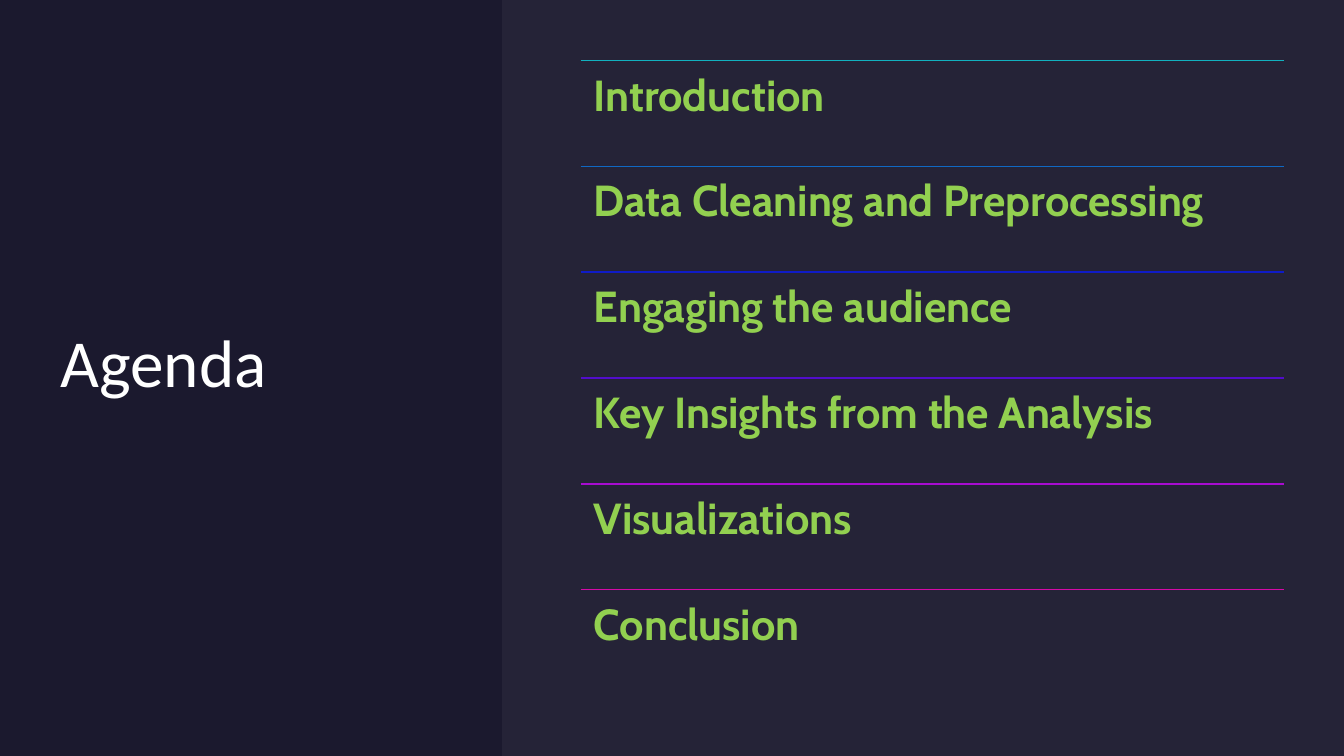
"""Builds the agenda slide with a tinted panel and ruled topics."""
from dataclasses import dataclass

from lxml import etree
from pptx import Presentation
from pptx.dml.color import RGBColor
from pptx.enum.shapes import MSO_CONNECTOR, MSO_SHAPE
from pptx.enum.text import MSO_ANCHOR, MSO_AUTO_SIZE, PP_ALIGN
from pptx.oxml.ns import qn
from pptx.slide import Slide
from pptx.text.text import TextFrame
from pptx.util import Inches, Pt

NAVY = RGBColor(0x1B, 0x19, 0x2E)
LAVENDER = RGBColor(0xE4, 0xE3, 0xF0)
WHITE = RGBColor(0xFF, 0xFF, 0xFF)
GREEN = RGBColor(0x92, 0xD0, 0x50)
TEAL = RGBColor(0x12, 0xB1, 0xBF)
AZURE = RGBColor(0x10, 0x68, 0xC3)
BLUE = RGBColor(0x0F, 0x1B, 0xC7)
INDIGO = RGBColor(0x52, 0x0D, 0xCB)
PURPLE = RGBColor(0xA7, 0x0C, 0xD0)
MAGENTA = RGBColor(0xD4, 0x0A, 0xA8)

LIST_LEFT = 5.76
LIST_TOP = 0.6
LIST_WIDTH = 6.97
ROW_HEIGHT = 1.05


@dataclass(frozen=True)
class Topic:
    text: str
    rule_color: RGBColor


TOPICS = [
    Topic("Introduction", TEAL),
    Topic("Data Cleaning and Preprocessing", AZURE),
    Topic("Engaging the audience", BLUE),
    Topic("Key Insights from the Analysis", INDIGO),
    Topic("Visualizations", PURPLE),
    Topic("Conclusion", MAGENTA),
]


def write_text(frame: TextFrame, text: str, font: str, size: float, color: RGBColor,
               bold: bool, inset: float, anchor: MSO_ANCHOR) -> None:
    frame.word_wrap = True
    frame.auto_size = MSO_AUTO_SIZE.NONE
    frame.vertical_anchor = anchor
    frame.margin_left = frame.margin_right = Inches(inset)
    frame.margin_top = frame.margin_bottom = Inches(inset)
    para = frame.paragraphs[0]
    para.alignment = PP_ALIGN.LEFT
    para.line_spacing = 0.9
    span = para.add_run()
    span.text = text
    span.font.name = font
    span.font.size = Pt(size)
    span.font.bold = bold
    span.font.color.rgb = color


def add_title(page: Slide) -> None:
    title = page.shapes.title
    title.left, title.top = Inches(0.6), Inches(0.6)
    title.width, title.height = Inches(3.9), Inches(6.06)
    write_text(title.text_frame, "Agenda", "Calibri", 48, WHITE, False, 0, MSO_ANCHOR.MIDDLE)


def add_panel(page: Slide) -> None:
    panel = page.shapes.add_shape(
        MSO_SHAPE.RECTANGLE, Inches(4.98), 0, Inches(8.36), Inches(7.5))
    panel.shadow.inherit = False
    panel.fill.solid()
    panel.fill.fore_color.rgb = LAVENDER
    panel.line.fill.background()
    color = panel.fill._xPr.find(f"{qn('a:solidFill')}/{qn('a:srgbClr')}")
    etree.SubElement(color, qn("a:alpha"), val="5000")


def add_topic(page: Slide, topic: Topic, top: float) -> None:
    rule = page.shapes.add_connector(
        MSO_CONNECTOR.STRAIGHT, Inches(LIST_LEFT), Inches(top),
        Inches(LIST_LEFT + LIST_WIDTH), Inches(top))
    rule.line.color.rgb = topic.rule_color
    rule.line.width = Pt(1)
    etree.SubElement(rule._element.spPr, qn("a:effectLst"))
    box = page.shapes.add_textbox(
        Inches(LIST_LEFT), Inches(top), Inches(LIST_WIDTH), Inches(ROW_HEIGHT))
    write_text(box.text_frame, topic.text, "Cabin", 31, GREEN, True, 0.13, MSO_ANCHOR.TOP)


def main() -> None:
    deck = Presentation()
    deck.slide_width, deck.slide_height = Inches(13.33), Inches(7.5)
    page = deck.slides.add_slide(deck.slide_layouts.get_by_name("Title Only"))
    page.background.fill.solid()
    page.background.fill.fore_color.rgb = NAVY
    add_title(page)
    add_panel(page)
    for row, topic in enumerate(TOPICS):
        add_topic(page, topic, LIST_TOP + row * ROW_HEIGHT)
    deck.save("out.pptx")


if __name__ == "__main__":
    main()
